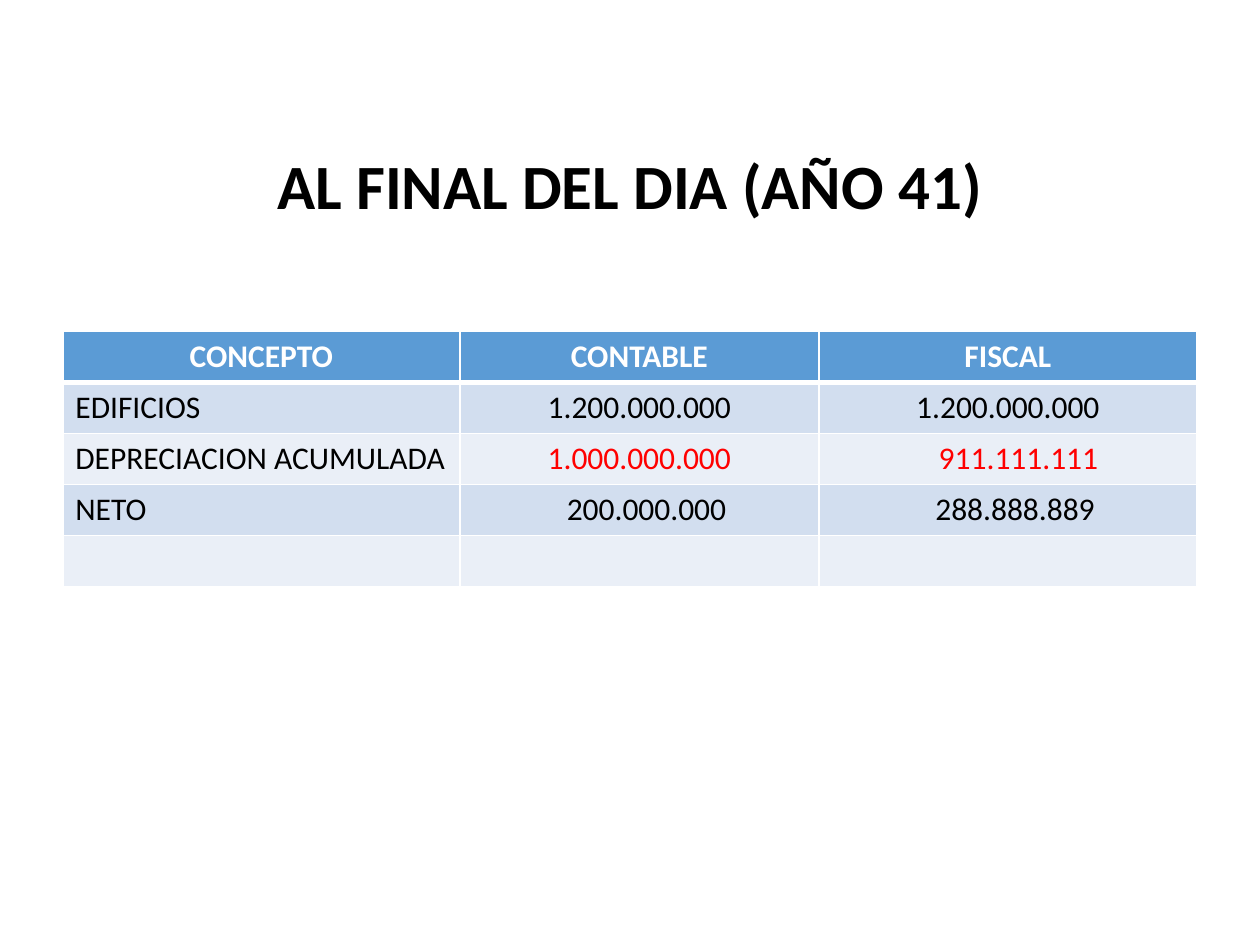
from lxml.etree import SubElement
from pptx import Presentation
from pptx.dml.color import RGBColor
from pptx.enum.text import MSO_ANCHOR, PP_ALIGN
from pptx.oxml.ns import qn
from pptx.util import Cm, Pt

COLORS = {
    "text": "000000",
    "deduction": "FF0000",
    "header": "5B9BD5",
    "odd_row": "D2DEEF",
    "even_row": "EAEFF7",
    "white": "FFFFFF",
}
COLUMN_WIDTHS = [8, 7.24, 7.62]
ROW_HEIGHT = 1.03
ROWS = [
    ["CONCEPTO", "CONTABLE", "FISCAL"],
    ["EDIFICIOS", "1.200.000.000", "1.200.000.000"],
    ["DEPRECIACION ACUMULADA", "1.000.000.000", "911.111.111"],
    ["NETO", "200.000.000", "288.888.889"],
    ["", "", ""],
]
# Extra left margin that nudges the shorter amounts to the right
INDENTS = {(2, 2): 0.43, (3, 1): 0.29, (3, 2): 0.29}


def style_text(paragraph, size, color, bold):
    font = paragraph.font
    font.name, font.size, font.bold = "Calibri", Pt(size), bold
    font.color.rgb = RGBColor.from_string(COLORS[color])
    for run in paragraph.runs:
        run.font.name, run.font.size, run.font.bold = "Calibri", Pt(size), bold
        run.font.color.rgb = RGBColor.from_string(COLORS[color])


def set_borders(cell, bottom_width):
    """Draw white borders; call before the fill, which must follow them."""
    properties = cell._tc.get_or_add_tcPr()
    for side, width in (("L", 1), ("R", 1), ("T", 1), ("B", bottom_width)):
        line = SubElement(properties, qn(f"a:ln{side}"), w=str(Pt(width)))
        fill = SubElement(line, qn("a:solidFill"))
        SubElement(fill, qn("a:srgbClr"), val=COLORS["white"])


prs = Presentation()
prs.slide_width, prs.slide_height = Cm(25.4), Cm(19.05)
slide = prs.slides.add_slide(prs.slide_layouts[6])

heading = slide.shapes.add_textbox(Cm(1.27), Cm(3.66), Cm(22.86), Cm(0.97)).text_frame
heading.word_wrap = True
heading.vertical_anchor = MSO_ANCHOR.BOTTOM
heading.text = "AL FINAL DEL DIA (AÑO 41)"
heading.paragraphs[0].alignment = PP_ALIGN.CENTER
heading.paragraphs[0].line_spacing = 0.9
style_text(heading.paragraphs[0], 36, "text", True)

balance = slide.shapes.add_table(
    len(ROWS), len(COLUMN_WIDTHS), Cm(1.27), Cm(6.68),
    Cm(sum(COLUMN_WIDTHS)), Cm(ROW_HEIGHT * len(ROWS)),
).table
for column, width in zip(balance.columns, COLUMN_WIDTHS):
    column.width = Cm(width)

for r, values in enumerate(ROWS):
    balance.rows[r].height = Cm(ROW_HEIGHT)
    is_header = r == 0
    background = "header" if is_header else "odd_row" if r % 2 else "even_row"
    for c, value in enumerate(values):
        cell = balance.cell(r, c)
        set_borders(cell, 3 if is_header or r == 0 else 1)
        if r == 1:
            cell._tc.tcPr.find(qn("a:lnT")).set("w", str(Pt(3)))
        cell.fill.solid()
        cell.fill.fore_color.rgb = RGBColor.from_string(COLORS[background])
        cell.margin_left = Cm(0.25 + INDENTS.get((r, c), 0))
        cell.text_frame.text = value
        paragraph = cell.text_frame.paragraphs[0]
        if is_header or c > 0:
            paragraph.alignment = PP_ALIGN.CENTER
        is_deduction = r == 2 and c > 0
        color = "white" if is_header else "deduction" if is_deduction else "text"
        style_text(paragraph, 18, color, is_header)

prs.save("out.pptx")
